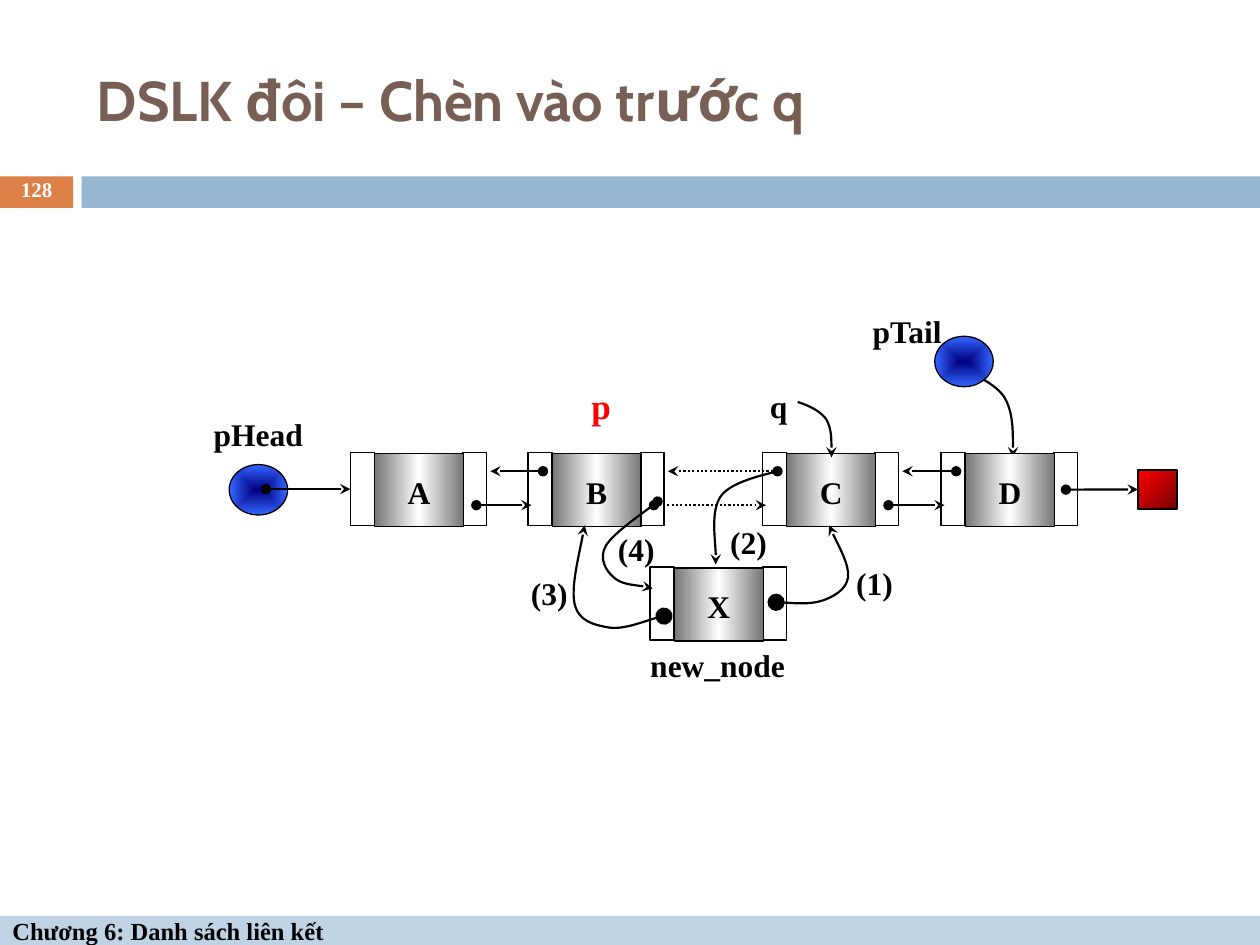
from itertools import pairwise

from lxml.etree import SubElement
from pptx import Presentation
from pptx.dml.color import RGBColor
from pptx.enum.dml import MSO_LINE as DASH
from pptx.enum.shapes import MSO_CONNECTOR as CONN, MSO_SHAPE as SHAPE
from pptx.enum.text import MSO_ANCHOR as ANCHOR, MSO_AUTO_SIZE as AUTO, PP_ALIGN as ALIGN
from pptx.oxml import parse_xml
from pptx.oxml.ns import nsdecls, qn
from pptx.util import Pt

BLACK = RGBColor(0x00, 0x00, 0x00)
WHITE = RGBColor(0xFF, 0xFF, 0xFF)
RED = RGBColor(0xFF, 0x00, 0x00)
DARK_RED = RGBColor(0x76, 0x00, 0x00)
GREY = RGBColor(0x76, 0x76, 0x76)
NAVY = RGBColor(0x00, 0x00, 0x80)
BLUE = RGBColor(0x33, 0x66, 0xFF)
ORANGE = RGBColor(0xDD, 0x80, 0x47)
STEEL = RGBColor(0x94, 0xB6, 0xD2)
PALE = RGBColor(0xBF, 0xD3, 0xE4)
BROWN = RGBColor(0x77, 0x5F, 0x55)

ACROSS = '<a:lin ang="0" scaled="1"/>'
DIAGONAL = '<a:lin ang="2700000" scaled="1"/>'
CENTRED = '<a:path path="rect"><a:fillToRect l="50000" t="50000" r="50000" b="50000"/></a:path>'

NODE_Y, CELL_W, CELL_H, DATA_W = 258.6, 13.7, 41.8, 50.8
NODES = {"A": 200.2, "B": 301.7, "C": 435.7, "D": 537.8}
NEXT_Y, PREV_Y = 288.7, 269.3

LABELS = [
    ("pHead", (115.2, 232.6, 64.8, 30.2), {}),
    ("pTail", (486, 174.2, 64.8, 30.2), {}),
    ("q", (425.5, 216, 38.9, 31.7), {}),
    ("p", (324, 216, 38.9, 31.7), {"size": 20, "color": RED}),
    ("(1)", (481, 319.7, 37.4, 27), {}),
    ("(2)", (409, 295.9, 37.4, 27), {}),
    ("(3)", (295.2, 325.4, 37.4, 27), {}),
    ("(4)", (344.9, 300.2, 37.4, 27), {}),
]

TAIL_CURVE = [(547.2, 210.2), (558, 214.6), (568.1, 218.9), (573.8, 226.8),
              (578.9, 235.4), (578.9, 248.4), (578.9, 261.4)]
CURVES = [
    ([(443.5, 344.2), (447.8, 344.2), (462.2, 345.6), (469.4, 343.4), (475.9, 341.3),
      (483.8, 337), (484.6, 329.8), (485.3, 322.6), (475.9, 306), (473.8, 300.2)], "lg"),
    ([(379.4, 352.1), (373.7, 352.8), (356.4, 360), (347.8, 358.6), (339.1, 357.1),
      (330.5, 355), (328.3, 344.9), (326.2, 335.5), (332.6, 309.6), (334.1, 300.2)], "lg"),
    ([(375.8, 286.6), (370.8, 290.9), (350.6, 304.6), (346.3, 311.8), (342, 319),
      (346.3, 326.2), (350.6, 329.8), (355, 334.1), (368.6, 334.8), (373, 336.2)], "med"),
    ([(446.4, 268.6), (440.6, 270.7), (418.3, 274.3), (411.8, 283.7), (406.1, 292.3),
      (409.7, 314.6), (409, 322.6)], None),
    ([(455.8, 229.7), (462.2, 231.8), (468.7, 234.7), (472.3, 239.8), (475.2, 245.5),
      (475.2, 253.4), (475.2, 261.4)], None),
]


def set_text(sp, text, size=18, font="Times New Roman", color=BLACK, align=ALIGN.CENTER,
             inset=(0, 0, 0, 0), anchor=ANCHOR.MIDDLE, wrap=True, spacing=None):
    """Write one bold paragraph into a shape."""
    tf = sp.text_frame
    sides = ("margin_left", "margin_top", "margin_right", "margin_bottom")
    frame = dict(zip(sides, map(Pt, inset)), word_wrap=wrap, vertical_anchor=anchor)
    for name, value in frame.items():
        setattr(tf, name, value)
    p = tf.paragraphs[0]
    p.alignment = align
    p.line_spacing = spacing
    r = p.add_run()
    r.text = text
    for name, value in {"size": Pt(size), "name": font, "bold": True}.items():
        setattr(r.font, name, value)
    r.font.color.rgb = color


def add_label(shapes, text, box, **style):
    """Add a text box."""
    sp = shapes.add_textbox(*map(Pt, box))
    set_text(sp, text, **style)
    return sp


def add_block(shapes, box, fill=None, kind=SHAPE.RECTANGLE, outline=True):
    """Add a flat preset shape."""
    sp = shapes.add_shape(kind, *map(Pt, box))
    sp.shadow.inherit = False
    if fill is None:
        sp.fill.background()
    else:
        sp.fill.solid()
        sp.fill.fore_color.rgb = fill
    if outline:
        sp.line.color.rgb = BLACK
        sp.line.width = Pt(0.75)
    else:
        sp.line.fill.background()
    return sp


def set_gradient(sp, colors, direction):
    """Give a shape a gradient with evenly spaced stops."""
    step = 100000 // (len(colors) - 1)
    stops = "".join(f'<a:gs pos="{i * step}"><a:srgbClr val="{c}"/></a:gs>'
                    for i, c in enumerate(colors))
    sp.fill.gradient()
    spPr = sp._element.spPr
    spPr.replace(spPr.find(qn("a:gradFill")), parse_xml(
        f'<a:gradFill {nsdecls("a")} rotWithShape="1"><a:gsLst>{stops}</a:gsLst>'
        f'{direction}</a:gradFill>'))


def style_arrow(sp, dot="med", dash=None):
    """Style a line with a stealth arrowhead and an optional starting dot."""
    sp.line.color.rgb = BLACK
    sp.line.width = Pt(1.25)
    if dash:
        sp.line.dash_style = dash
    ln = sp._element.spPr.get_or_add_ln()
    if dot:
        SubElement(ln, qn("a:headEnd"), type="oval", w=dot, len=dot)
    SubElement(ln, qn("a:tailEnd"), type="stealth", w="med", len="med")


def add_arrow(shapes, start, end, target=None, dash=None):
    """Add a straight pointer, joined to the left side of a target if given."""
    cxn = shapes.add_connector(CONN.STRAIGHT, *map(Pt, (*start, *end)))
    if target is not None:
        cxn.end_connect(target, 1)
    style_arrow(cxn, dash=dash)
    SubElement(cxn._element.spPr, qn("a:effectLst"))


def add_curve(shapes, points, dot=None):
    """Add a curved pointer from a start point and triples of Bezier points."""
    start, *rest = [(Pt(x), Pt(y)) for x, y in points]
    fb = shapes.build_freeform(*start)
    fb.add_line_segments(rest, close=False)
    sp = fb.convert_to_shape()
    segments = list(sp._element.iter(qn("a:lnTo")))
    outline = segments[0].getparent()
    for i in range(0, len(segments), 3):
        cubic = SubElement(outline, qn("a:cubicBezTo"))
        for segment in segments[i:i + 3]:
            cubic.append(segment[0])
            outline.remove(segment)
    sp.shadow.inherit = False
    sp.fill.background()
    style_arrow(sp, dot)


def add_node(shapes, name, x, y=NODE_Y, fill=None):
    """Add a doubly linked node and return its left cell."""
    add_block(shapes, (x + CELL_W + DATA_W - 0.4, y, CELL_W, CELL_H), fill)
    data = add_block(shapes, (x + CELL_W + 0.2, y + 0.5, DATA_W, CELL_H))
    set_gradient(data, (GREY, WHITE, GREY), ACROSS)
    set_text(data, name, inset=(0, 2, 0, 0))
    return add_block(shapes, (x, y, CELL_W, CELL_H), fill)


def add_pointer_ball(shapes, x, y):
    """Add the ball that stands for a list pointer."""
    ball = add_block(shapes, (x, y, 33.4, 28.8), kind=SHAPE.OVAL)
    set_gradient(ball, (NAVY, BLUE), CENTRED)


def add_frame(shapes):
    """Add the title, the bars, the page number and the footer."""
    inset = (7.2, 3.6, 7.2, 3.6)
    add_block(shapes, (0, 100.8, 41.8, 18), ORANGE, outline=False)
    add_block(shapes, (46.6, 100.8, 673.4, 18), STEEL, outline=False)
    footer = add_block(shapes, (0, 523.4, 720, 16.6), PALE, outline=False)
    set_text(footer, "Chương 6: Danh sách liên kết", 14, align=ALIGN.LEFT, inset=inset)
    add_label(shapes, "DSLK đôi – Chèn vào trước q", (48.2, 18, 642.2, 77.8), size=32,
              font="Cabin", color=BROWN, align=ALIGN.LEFT, inset=inset)
    add_label(shapes, "128", (0, 100, 41.8, 19.4), size=12, color=WHITE, inset=inset,
              spacing=0.8)


def add_list(shapes):
    """Add the linked list with its pointers."""
    add_curve(shapes, TAIL_CURVE)
    add_node(shapes, "X", 371.5, 324, WHITE)
    cells = [add_node(shapes, name, x) for name, x in NODES.items()]
    for left, right in pairwise(NODES):
        x1, x2 = NODES[left], NODES[right]
        dash = DASH.ROUND_DOT if left == "B" else None
        add_arrow(shapes, (x1 + 72, NEXT_Y), (x2 + 2, NEXT_Y), dash=dash)
        add_arrow(shapes, (x2 + 8.6, PREV_Y), (x1 + 80, PREV_Y), dash=dash)
    add_pointer_ball(shapes, 131, 265.5)
    add_pointer_ball(shapes, 534.2, 192.2)
    end = add_block(shapes, (650.2, 268.6, 22.3, 22.3))
    set_gradient(end, (RED, DARK_RED), DIAGONAL)
    add_arrow(shapes, (151.9, 279.5), (200.2, 279.5), cells[0])
    add_arrow(shapes, (609.1, 279.8), (650.2, 279.8), end)
    for points, dot in CURVES:
        add_curve(shapes, points, dot)


def main():
    """Build the slide and save it."""
    prs = Presentation()
    prs.slide_width, prs.slide_height = Pt(720), Pt(540)
    shapes = prs.slides.add_slide(prs.slide_layouts[6]).shapes
    add_frame(shapes)
    add_list(shapes)
    for text, box, style in LABELS:
        add_label(shapes, text, box, **style)
    name = add_label(shapes, "new_node", (364.3, 365.8, 91.4, 28.8), align=ALIGN.RIGHT,
                     inset=(7.2, 3.6, 7.2, 3.6), anchor=ANCHOR.TOP, wrap=False)
    name.text_frame.auto_size = AUTO.SHAPE_TO_FIT_TEXT
    prs.save("out.pptx")


if __name__ == "__main__":
    main()
